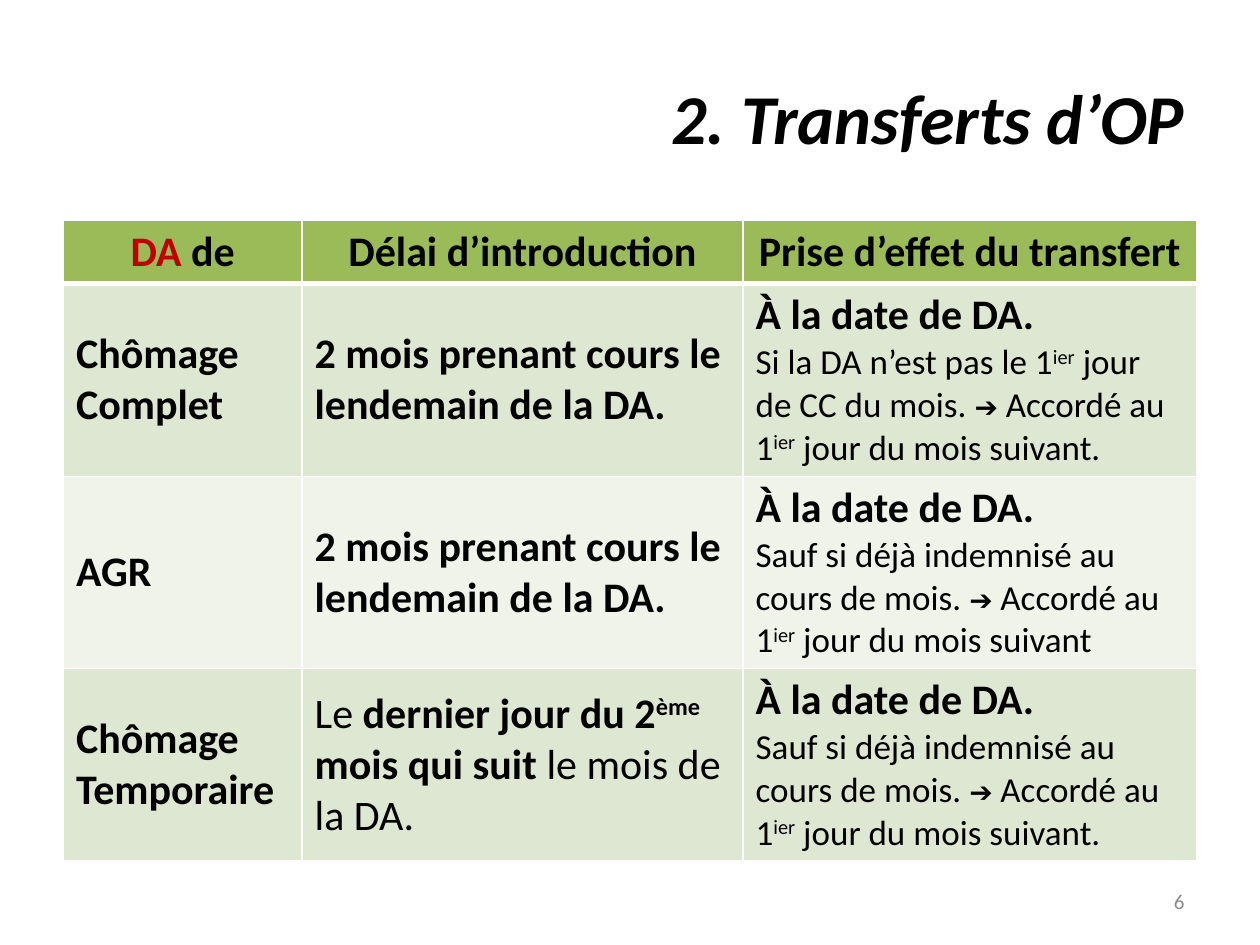
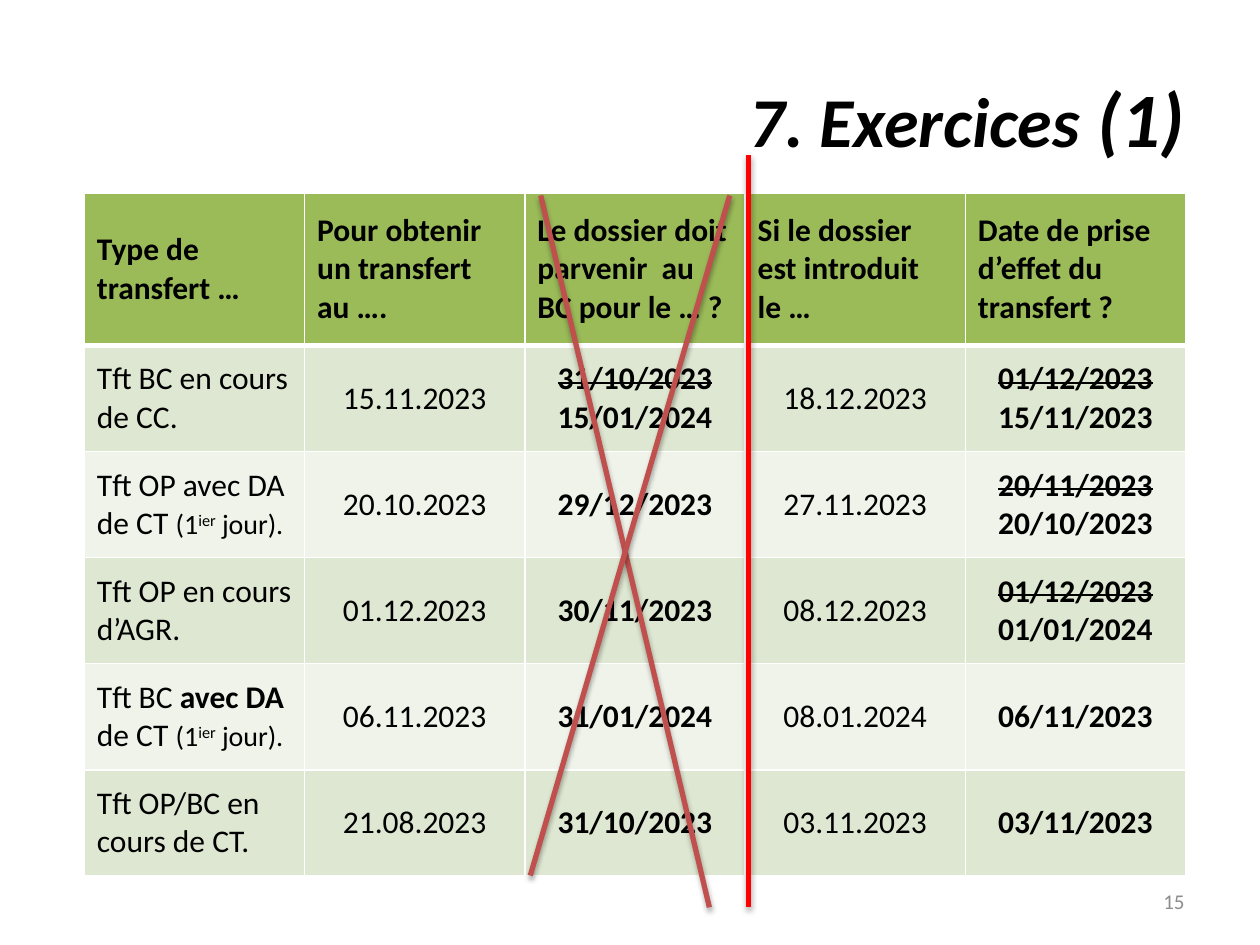
from dataclasses import dataclass
from typing import Optional

from lxml import etree
from pptx import Presentation
from pptx.dml.color import RGBColor
from pptx.enum.shapes import MSO_CONNECTOR
from pptx.enum.text import MSO_ANCHOR, PP_ALIGN
from pptx.oxml.ns import qn
from pptx.util import Cm, Pt

FONT = "Calibri"
BLACK = RGBColor(0x00, 0x00, 0x00)
WHITE = RGBColor(0xFF, 0xFF, 0xFF)
GREY = RGBColor(0x8C, 0x8C, 0x8C)
HEADER_GREEN = RGBColor(0x9B, 0xBB, 0x59)
BANDS = [RGBColor(0xDE, 0xE7, 0xD1), RGBColor(0xEF, 0xF3, 0xEA)]
DARK_RED = RGBColor(0xC0, 0x00, 0x00)
CROSS_RED = RGBColor(0xC0, 0x50, 0x4D)
BRIGHT_RED = RGBColor(0xFF, 0x00, 0x00)

LEFT, CENTER, RIGHT = PP_ALIGN.LEFT, PP_ALIGN.CENTER, PP_ALIGN.RIGHT
TOP, MIDDLE = MSO_ANCHOR.TOP, MSO_ANCHOR.MIDDLE


@dataclass
class Run:
    text: str
    size: Optional[int] = None
    bold: Optional[bool] = None
    color: Optional[RGBColor] = None
    sup: bool = False
    strike: bool = False


@dataclass
class Para:
    runs: list
    size: Optional[int] = None
    bold: Optional[bool] = None


@dataclass
class Column:
    width: float
    align: PP_ALIGN = LEFT
    bold: bool = False
    anchor: MSO_ANCHOR = MIDDLE


# Text
def add_run(p, run):
    """Add a plain string or a Run with its own formatting."""
    if isinstance(run, str):
        run = Run(run)
    r = p.add_run()
    r.text = run.text
    if run.size:
        r.font.size = Pt(run.size)
    if run.bold is not None:
        r.font.bold = run.bold
    if run.color is not None:
        r.font.color.rgb = run.color
    if run.sup:
        r._r.get_or_add_rPr().set("baseline", "30000")
    if run.strike:
        r._r.get_or_add_rPr().set("strike", "sngStrike")


def write(tf, paras, size, bold=False, align=LEFT, color=BLACK, italic=False):
    """Fill a text frame; each paragraph is a string, a Run or a Para."""
    for i, para in enumerate(paras):
        if not isinstance(para, Para):
            para = Para([para])
        p = tf.add_paragraph() if i else tf.paragraphs[0]
        p.alignment = align
        p.font.name = FONT
        p.font.size = Pt(para.size or size)
        p.font.bold = bold if para.bold is None else para.bold
        p.font.italic = italic
        p.font.color.rgb = color
        for run in para.runs:
            add_run(p, run)


# Slide frame: title and page number
def add_slide(prs, title, number):
    s = prs.slides.add_slide(prs.slide_layouts[5])
    sp = s.shapes.title
    sp.left, sp.top, sp.width, sp.height = Cm(1.27), Cm(0.76), Cm(22.86), Cm(3.18)
    sp.text_frame.vertical_anchor = MIDDLE
    write(sp.text_frame, [title], 40, True, RIGHT, italic=True)

    box = s.shapes.add_textbox(Cm(18.21), Cm(17.65), Cm(5.92), Cm(1.02))
    box.text_frame.word_wrap = True
    box.text_frame.vertical_anchor = MIDDLE
    write(box.text_frame, [number], 12, align=RIGHT, color=GREY)
    return s


# Table
def set_borders(cell, row):
    """White rules, thicker under the header row."""
    widths = {"L": 1, "R": 1, "T": 3 if row == 1 else 1, "B": 3 if row == 0 else 1}
    tc_pr = cell._tc.get_or_add_tcPr()
    for side, width in widths.items():
        ln = etree.SubElement(tc_pr, qn(f"a:ln{side}"), w=str(Pt(width)))
        fill = etree.SubElement(ln, qn("a:solidFill"))
        etree.SubElement(fill, qn("a:srgbClr"), val=str(WHITE))


def add_table(s, left, top, columns, heights, rows, size, header_align):
    width = sum(c.width for c in columns)
    tbl = s.shapes.add_table(len(rows), len(columns), Cm(left), Cm(top),
                             Cm(width), Cm(sum(heights))).table
    tbl.first_row = tbl.horz_banding = False
    for j, col in enumerate(columns):
        tbl.columns[j].width = Cm(col.width)
    for i, row in enumerate(rows):
        tbl.rows[i].height = Cm(heights[i])
        header = i == 0
        for j, (col, content) in enumerate(zip(columns, row)):
            cell = tbl.cell(i, j)
            set_borders(cell, i)
            cell.fill.solid()
            cell.fill.fore_color.rgb = HEADER_GREEN if header else BANDS[(i - 1) % 2]
            cell.vertical_anchor = MIDDLE if header else col.anchor
            paras = content if isinstance(content, list) else [content]
            write(cell.text_frame, paras, size, header or col.bold,
                  header_align if header else col.align)


# Lines drawn over the table
def add_line(s, x1, y1, x2, y2, color):
    ln = s.shapes.add_connector(MSO_CONNECTOR.STRAIGHT, Cm(x1), Cm(y1), Cm(x2), Cm(y2))
    ln.line.color.rgb = color
    ln.line.width = Pt(3)
    effects = etree.SubElement(ln._element.spPr, qn("a:effectLst"))
    shadow = etree.SubElement(effects, qn("a:outerShdw"), blurRad=str(Pt(3.1)),
                              dist=str(Pt(1.8)), dir="5400000", rotWithShape="0")
    tint = etree.SubElement(shadow, qn("a:srgbClr"), val=str(BLACK))
    etree.SubElement(tint, qn("a:alpha"), val="35000")


# Recurring cell contents
def effect_date(condition, ending):
    """Effective date followed by its exception in smaller type."""
    return ["À la date de DA.",
            Para([*condition, Run("➔", size=16), " Accordé au 1",
                  Run("ier", sup=True), ending], size=20, bold=False)]


def first_day(*start):
    return Para([*start, Run("(1", size=16), Run("ier", size=16, sup=True),
                 Run(" jour).", size=16)])


def corrected(wrong, right):
    return [Run(wrong, strike=True), right]


def build_transfers(prs):
    s = add_slide(prs, "2. Transferts d’OP", "6")
    columns = [Column(4.81, bold=True), Column(8.89, bold=True),
               Column(9.14, bold=True, anchor=TOP)]
    two_months = "2 mois prenant cours le lendemain de la DA."
    unless_paid = ["Sauf si déjà indemnisé au cours de mois. "]
    not_first_day = ["Si la DA n’est pas le 1", Run("ier", sup=True),
                     " jour de CC du mois. "]
    last_day = Para([Run("Le ", bold=False), "dernier jour du 2",
                     Run("ème", sup=True), " mois qui suit",
                     Run(" le mois de la DA.", bold=False)])
    rows = [
        [Para([Run("DA", color=DARK_RED), " de"]), "Délai d’introduction",
         "Prise d’effet du transfert"],
        ["Chômage Complet", two_months,
         effect_date(not_first_day, " jour du mois suivant.")],
        ["AGR", two_months, effect_date(unless_paid, " jour du mois suivant")],
        ["Chômage Temporaire", last_day,
         effect_date(unless_paid, " jour du mois suivant.")],
    ]
    add_table(s, 1.28, 4.45, columns, [1.27] + [3.88] * 3, rows, 24, CENTER)


def build_exercises(prs):
    title = Para(["7. Exercices", Run(" (1)", size=44)])
    s = add_slide(prs, title, "15")
    width = 4.44
    given = Column(width, CENTER)
    answer = Column(width, CENTER, bold=True)
    columns = [Column(width), given, answer, given, answer]
    rows = [
        ["Type de transfert …", ["Pour obtenir un transfert", "au …."],
         "Le dossier doit parvenir  au BC pour le … ?",
         ["Si le dossier est introduit", "le …"],
         "Date de prise d’effet du transfert ?"],
        ["Tft BC en cours de CC.", "15.11.2023",
         corrected("31/10/2023", "15/01/2024"), "18.12.2023",
         corrected("01/12/2023", "15/11/2023")],
        [first_day("Tft OP avec DA de CT "), "20.10.2023", "29/12/2023",
         "27.11.2023", corrected("20/11/2023", "20/10/2023")],
        ["Tft OP en cours d’AGR.", "01.12.2023", "30/11/2023", "08.12.2023",
         corrected("01/12/2023", "01/01/2024")],
        [first_day("Tft BC ", Run("avec DA ", bold=True), "de CT "),
         "06.11.2023", "31/01/2024", "08.01.2024", "06/11/2023"],
        ["Tft OP/BC en cours de CT.", "21.08.2023", "31/10/2023", "03.11.2023",
         "03/11/2023"],
    ]
    add_table(s, 1.7, 3.89, columns, [3.07] + [2.14] * 5, rows, 18, LEFT)

    # Separator, then the cross over the third column
    add_line(s, 15.09, 3.12, 15.09, 18.29, BRIGHT_RED)
    add_line(s, 10.9, 3.94, 14.3, 18.29, CROSS_RED)
    add_line(s, 14.71, 3.94, 10.69, 17.65, CROSS_RED)


def main():
    prs = Presentation()
    prs.slide_width, prs.slide_height = Cm(25.4), Cm(19.05)
    build_transfers(prs)
    build_exercises(prs)
    prs.save("out.pptx")


if __name__ == "__main__":
    main()
